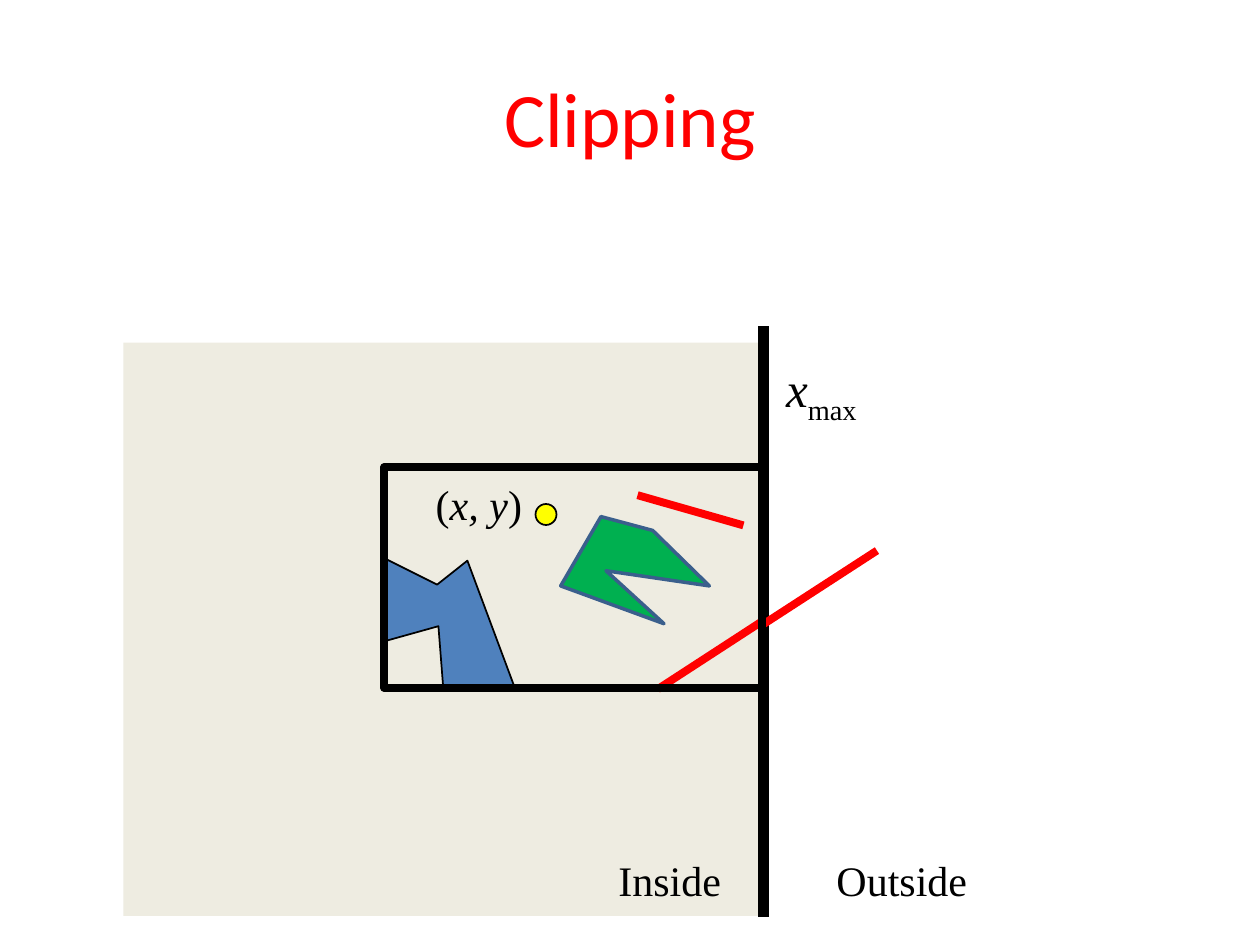
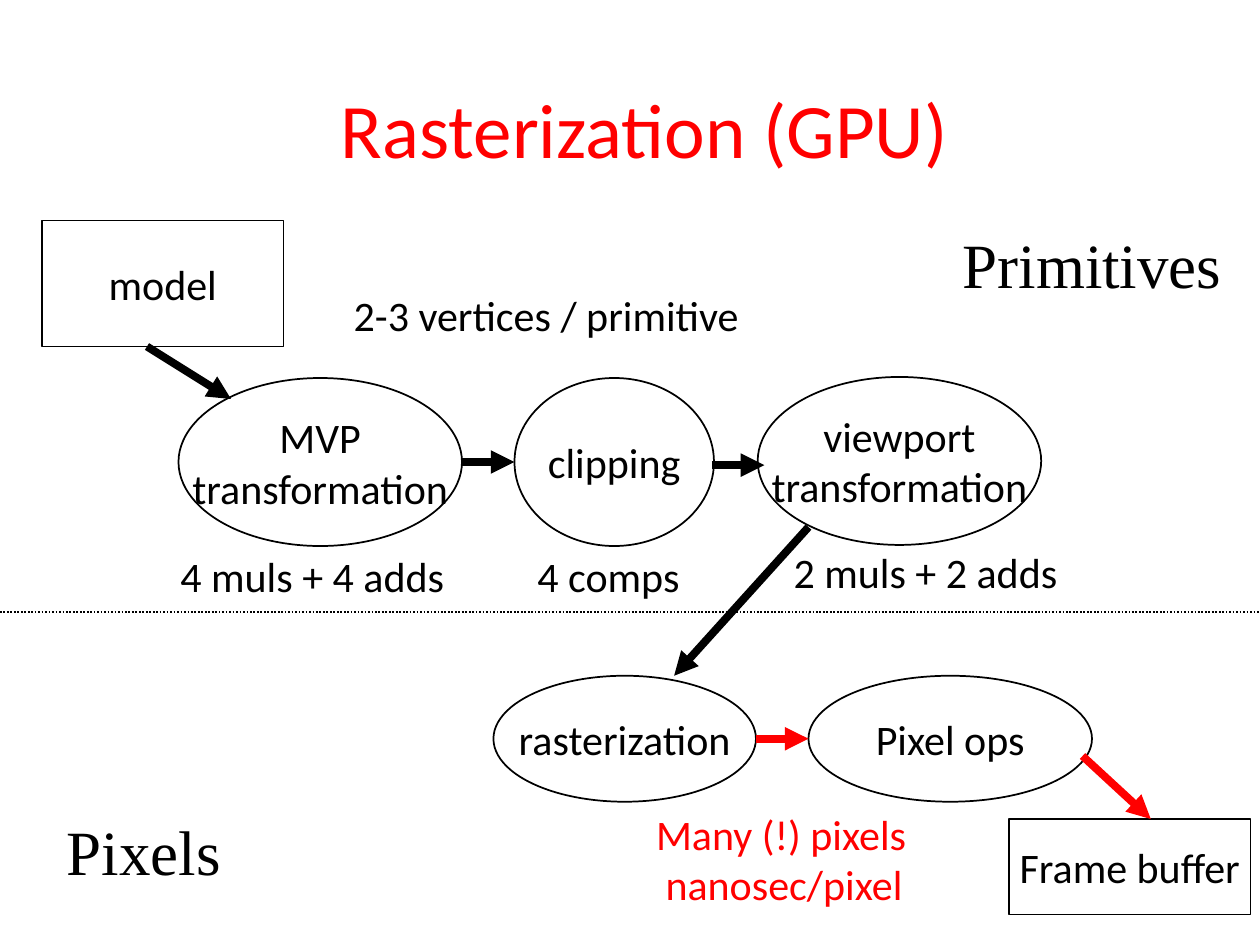
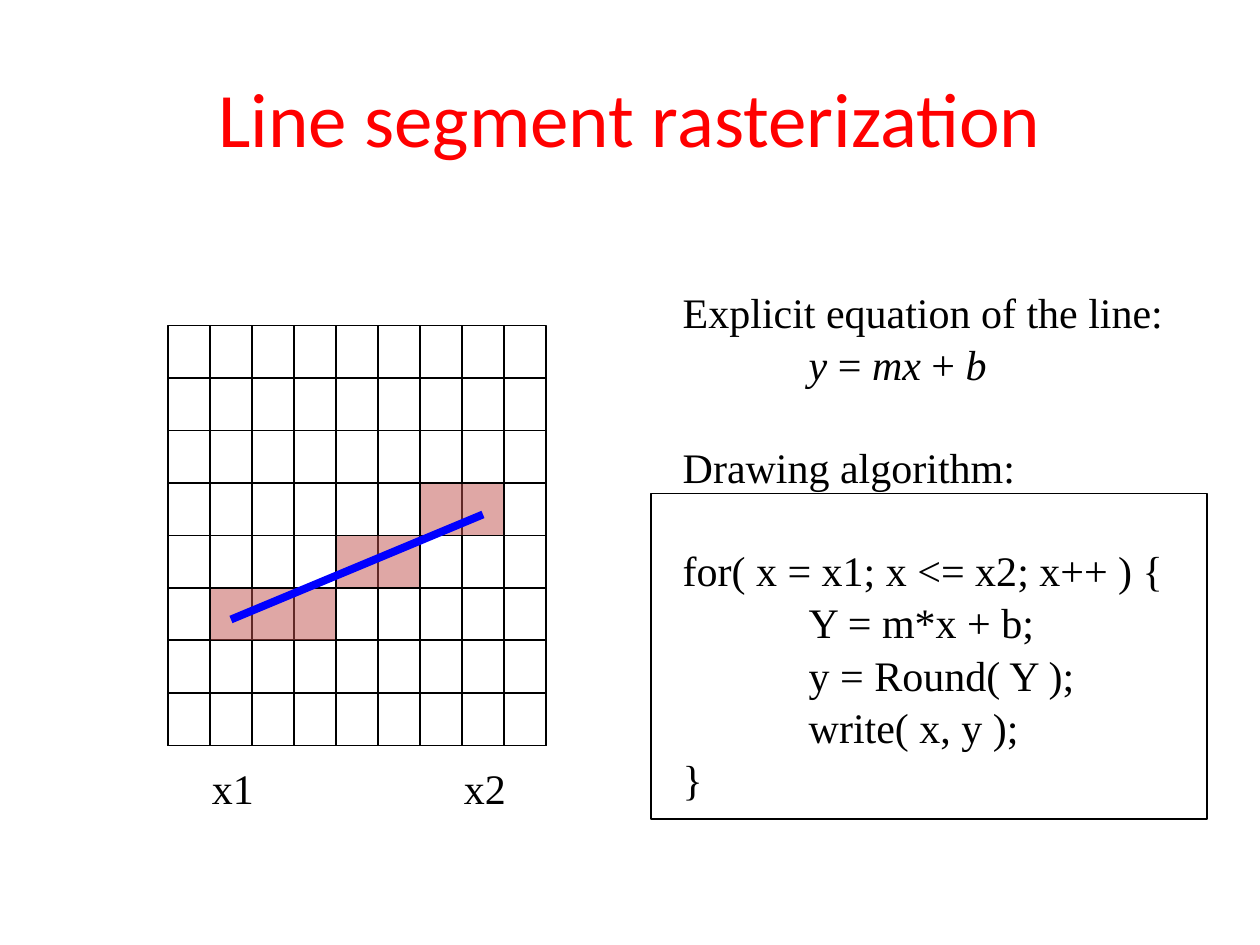
from lxml import etree
from pptx import Presentation
from pptx import util as u
from pptx.dml.color import RGBColor
from pptx.enum import dml, shapes, text
from pptx.oxml.ns import qn

COLORS = {"ink": "000000", "accent": "FF0000", "inside": "EEECE1", "blue": "4F81BD",
          "green": "00B050", "edge": "3A5F8C", "dot": "FFFF00", "pixel": "C0504D",
          "segment": "0000FF"}
SANS, SERIF = "Calibri", "Times New Roman"
COLUMNS, ROWS = 120, 90
ITALIC = {"italic": True}
RECT, OVAL = shapes.MSO_SHAPE.RECTANGLE, shapes.MSO_SHAPE.OVAL


def rgb(name):
    return RGBColor.from_string(COLORS[name])


def write(frame, paras, size=24, font=SANS, color="ink", align=None, spacing=None):
    """Fill a frame; a paragraph is a string or a list of (text, format) spans."""
    for index, content in enumerate(paras):
        para = frame.paragraphs[0] if index == 0 else frame.add_paragraph()
        para.alignment, para.line_spacing = align, spacing
        spans = [(content, {})] if isinstance(content, str) else content
        for words, style in spans:
            span = para.add_run()
            span.text = words
            span.font.size, span.font.name = u.Pt(size), font
            span.font.color.rgb = rgb(color)
            if style.get("italic"):
                span.font.italic = True
            if "baseline" in style:
                span._r.get_or_add_rPr().set("baseline", str(style["baseline"] * 1000))
    return frame.paragraphs


class Sketch:
    """Style and current slide; lengths are columns and rows of a 120 x 90 grid."""

    def __init__(self):
        self.deck = Presentation()
        self.deck.slide_width, self.deck.slide_height = u.Inches(10), u.Inches(7.5)
        self.column = self.deck.slide_width / COLUMNS
        self.row = self.deck.slide_height / ROWS

    def place(self, *lengths):
        steps = (self.column, self.row) * 2
        return [u.Emu(round(length * step)) for length, step in zip(lengths, steps)]

    def page(self, title, at=(6, 3.6, 108, 15)):
        self.slide = self.deck.slides.add_slide(self.deck.slide_layouts[5])
        box = self.slide.shapes.title
        box.left, box.top, box.width, box.height = self.place(*at)
        box.text_frame.vertical_anchor = text.MSO_ANCHOR.MIDDLE
        write(box.text_frame, [title], size=44, color="accent", align=text.PP_ALIGN.CENTER)

    def paint(self, shape, fill, line, weight, opacity=None):
        shape.shadow.inherit = False
        if fill:
            shape.fill.solid()
            shape.fill.fore_color.rgb = rgb(fill)
            if opacity:
                color = shape.fill._xPr.find(qn("a:solidFill"))[0]
                etree.SubElement(color, qn("a:alpha")).set("val", str(opacity * 1000))
        else:
            shape.fill.background()
        if line:
            shape.line.color.rgb = rgb(line)
            shape.line.width = u.Pt(weight)
        else:
            shape.line.fill.background()

    def shape(self, kind, at, fill=None, line="ink", weight=1, paras=()):
        shape = self.slide.shapes.add_shape(kind, *self.place(*at))
        self.paint(shape, fill, line, weight)
        if paras:
            shape.text_frame.word_wrap = False
            shape.text_frame.vertical_anchor = text.MSO_ANCHOR.MIDDLE
            write(shape.text_frame, paras, align=text.PP_ALIGN.CENTER)

    def outline(self, points, fill, line="ink", weight=1, opacity=None):
        start, *rest = [self.place(*point) for point in points]
        builder = self.slide.shapes.build_freeform(*start)
        builder.add_line_segments(rest, close=True)
        self.paint(builder.convert_to_shape(), fill, line, weight, opacity)

    def line(self, start, end, color="ink", weight=4.5, arrow=False, dash=None):
        line = self.slide.shapes.add_connector(
            shapes.MSO_CONNECTOR.STRAIGHT, *self.place(*start), *self.place(*end))
        line.line.color.rgb = rgb(color)
        line.line.width = u.Pt(weight)
        if dash:
            line.line.dash_style = dash
        if arrow:
            etree.SubElement(line.line._get_or_add_ln(), qn("a:tailEnd")).set("type", "triangle")
        etree.SubElement(line._element.spPr, qn("a:effectLst"))

    def label(self, at, paras, **style):
        box = self.slide.shapes.add_textbox(*self.place(*at))
        box.text_frame.word_wrap = False
        box.text_frame.auto_size = text.MSO_AUTO_SIZE.SHAPE_TO_FIT_TEXT
        return write(box.text_frame, paras, **style)


def clipping(sketch):
    sketch.page("Clipping")
    # Half plane and its boundary
    sketch.shape(RECT, (11.76, 32.64, 60.84, 54.6), fill="inside", line=None)
    sketch.label((73.68, 33.6, 9.84, 6.84), [[("x", ITALIC), ("max", {"baseline": -25})]],
                 size=28, font=SERIF)
    sketch.line((72.72, 31.08), (72.72, 87.36), weight=6)
    for name, left, width in (("Inside", 57.72, 12.24), ("Outside", 78.48, 15)):
        sketch.label((left, 80.76, width, 6), [name], font=SERIF)
    # Clipped primitives under the window frame
    sketch.outline([(36.6, 53.16), (36.6, 61.08), (41.76, 59.64), (42.24, 65.76),
                    (49.08, 65.64), (44.52, 53.4), (41.64, 55.68)], "blue")
    sketch.line((83.52, 52.44), (72.6, 59.52), "accent")
    sketch.line((72.6, 59.16), (62.64, 65.64), "accent")
    sketch.shape(RECT, (36.6, 44.5, 36, 21), weight=4.5)
    # Primitives fully inside
    sketch.shape(OVAL, (51, 48, 2, 2), fill="dot")
    sketch.label((40.32, 45, 10.68, 6.12), [[("(", {}), ("x, y", ITALIC), (")", {})]], font=SERIF)
    sketch.line((70.8, 50.04), (60.72, 47.16), "accent")
    sketch.outline([(57.24, 49.2), (53.4, 55.8), (63.24, 59.4), (57.72, 54.36),
                    (67.56, 55.8), (62.16, 50.52)], "green", "edge", 2)


def pipeline(sketch):
    sketch.page("Rasterization (GPU)", (5.4, 4.7, 112, 15))
    # Stages
    for kind, at, *paras in (
            (OVAL, (17, 36, 27, 16), "MVP", "transformation"),
            (OVAL, (49, 36, 19, 16), "clipping"),
            (OVAL, (72.16, 35.9, 27, 16), "viewport", "transformation"),
            (OVAL, (47, 64.36, 25, 12), "rasterization"),
            (OVAL, (77, 64.36, 27, 12), "Pixel ops"),
            (RECT, (96.1, 78, 23, 9.1), "Frame buffer"),
            (RECT, (4, 21, 23, 12), "model")):
        sketch.shape(kind, at, paras=paras)
    # Data flow
    for start, end, color in (
            ((14, 33), (22, 38), "ink"),
            ((44, 44), (49, 44), "ink"),
            ((67.8, 44.3), (72.8, 44.3), "ink"),
            ((77, 50.2), (64.2, 64.36), "ink"),
            ((72, 70.36), (77, 70.36), "accent"),
            ((103.1, 72), (109.6, 78), "accent")):
        sketch.line(start, end, color, arrow=True)
    sketch.line((0, 58.3), (COLUMNS, 58.3), weight=1, dash=dml.MSO_LINE.ROUND_DOT)
    # Costs
    for at, cost in (((32.5, 27, 39.5, 6), "2-3 vertices / primitive"),
                     ((16, 51.84, 29, 6), "4 muls + 4 adds"),
                     ((50, 51.84, 17, 6), "4 comps"),
                     ((74.4, 51.5, 28.7, 6), "2 muls + 2 adds")):
        sketch.label(at, [cost])
    sketch.label((61.3, 76.4, 27, 11), ["Many (!) pixels", " nanosec/pixel"], color="accent")
    # Domains above and below the dotted line
    sketch.label((90.5, 20.9, 27.4, 8.5), ["Primitives"], size=36, font=SERIF)
    sketch.label((5.2, 76.8, 17.3, 8.5), ["Pixels"], size=36, font=SERIF)


def segment(sketch):
    sketch.page("Line segment rasterization")
    left, top, cell_width, cell_height, across, down = 16, 31, 4, 5, 9, 8

    def cell(column, row):
        return left + column * cell_width, top + row * cell_height

    # Pixel grid: every other column and row is a strip
    for column in range(0, across, 2):
        sketch.shape(RECT, (*cell(column, 0), cell_width, down * cell_height))
    for row in range(1, down, 2):
        sketch.shape(RECT, (*cell(0, row), across * cell_width, cell_height))
    sketch.line(cell(0, 0), cell(across, 0), weight=1)
    # Lit pixels and the ideal line
    steps = [(1, 6), (4, 6), (4, 5), (6, 5), (6, 4), (8, 4),
             (8, 3), (6, 3), (6, 4), (4, 4), (4, 5), (1, 5)]
    sketch.outline([cell(*step) for step in steps], "pixel", opacity=50)
    sketch.line(cell(1.5, 5.6), cell(7.5, 3.6), "segment")
    # Equation and algorithm
    paras = sketch.label((63.84, 26.5, 48.5, 49.7), [
        "Explicit equation of the line:",
        [("y", ITALIC), (" = ", {}), ("mx", ITALIC), (" + ", {}), ("b", ITALIC)],
        "Drawing algorithm:",
        "for( x = x1; x <= x2; x++ ) {",
        "Y = m*x + b;", "y = Round( Y );", "write( x, y );", "}"],
        font=SERIF, spacing=1.04)
    for index in (1, 4, 5, 6):
        paras[index]._p.get_or_add_pPr().set("marL", str(u.Inches(1)))
    for index in (2, 3):
        paras[index].space_before = u.Pt(28.8)
    sketch.shape(RECT, (62, 47, 53, 31))
    for name, start in (("x1", 19), ("x2", 43)):
        sketch.label((start, 72, 6.4, 6), [name], font=SERIF)


def main():
    sketch = Sketch()
    for draw in (clipping, pipeline, segment):
        draw(sketch)
    sketch.deck.save("out.pptx")


if __name__ == "__main__":
    main()
